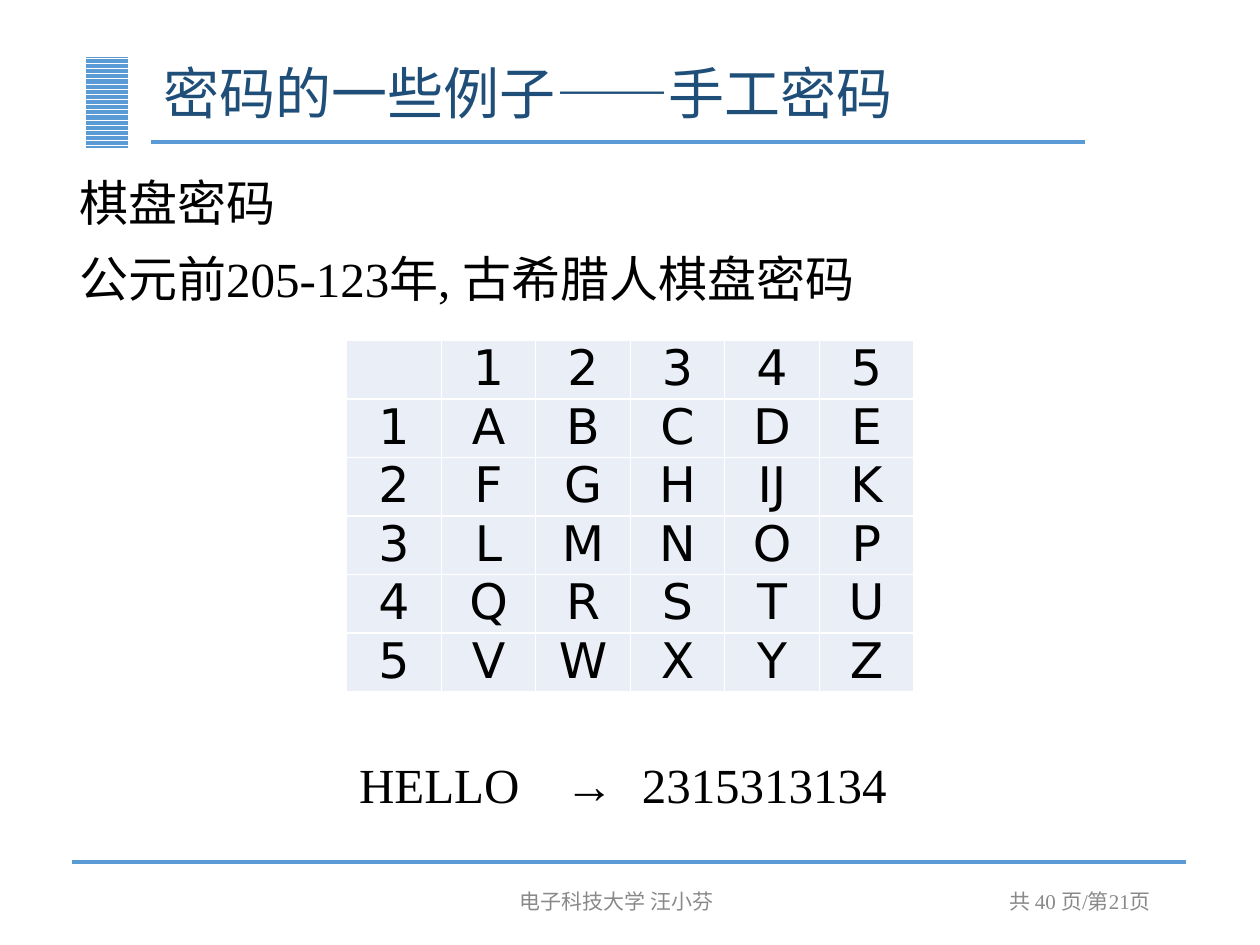
"""Builds a slide on the Greek chessboard cipher."""
from lxml.etree import SubElement
from pptx import Presentation
from pptx.dml.color import RGBColor
from pptx.enum.dml import MSO_PATTERN as Pattern
from pptx.enum.shapes import MSO_CONNECTOR as Connector, MSO_SHAPE as Shape
from pptx.enum.text import MSO_ANCHOR as Anchor, MSO_AUTO_SIZE as AutoSize, PP_ALIGN as Align
from pptx.oxml.ns import qn
from pptx.util import Cm, Pt

TITLE = "密码的一些例子——手工密码"
BODY = ["棋盘密码", "公元前205-123年, 古希腊人棋盘密码"]
BOARD = [
    ["", "1", "2", "3", "4", "5"],
    ["1", "A", "B", "C", "D", "E"],
    ["2", "F", "G", "H", "IJ", "K"],
    ["3", "L", "M", "N", "O", "P"],
    ["4", "Q", "R", "S", "T", "U"],
    ["5", "V", "W", "X", "Y", "Z"],
]
EXAMPLE = ["HELLO", "→", "2315313134"]
EXAMPLE_TABS = [4.15, 5.7]
FOOTERS = [
    ("共 40 页/第21页", (17.73, 17.65, 5.72, 1.02), Align.RIGHT),
    ("电子科技大学 汪小芬", (7.52, 17.65, 9.83, 1.02), Align.CENTER),
]
RULES = [(3.05, 21.87, 2.87), (1.45, 23.9, 17.37)]
SERIF, SANS, HAN = "Times New Roman", "DejaVu Sans", "Noto Sans CJK SC"
BLUE, NAVY, PALE, WHITE, BLACK, GREY = "5B9BD5", "1F4E79", "EAEFF7", "FFFFFF", "000000", "898989"
CELL_WIDTH, CELL_HEIGHT = 1.905, 1.18


def color(value):
    return RGBColor.from_string(value)


def lengths(*values):
    return [Cm(value) for value in values]


def place(shape, left, top, width, height):
    shape.left, shape.top, shape.width, shape.height = lengths(left, top, width, height)


def write(para, text, size, font, tint, align=Align.LEFT):
    para.alignment = align
    span = para.add_run()
    span.text = text
    span.font.size, span.font.name = Pt(size), font
    span.font.color.rgb = color(tint)
    return span


def add_label(page, area, text, size, tint, align=Align.LEFT, anchor=Anchor.TOP):
    frame = page.shapes.add_textbox(*lengths(*area)).text_frame
    frame.word_wrap, frame.vertical_anchor = True, anchor
    para = frame.paragraphs[0]
    write(para, text, size, SERIF, tint, align)
    return para


def add_frame(page):
    bar = page.shapes.add_shape(Shape.RECTANGLE, *lengths(1.73, 1.14, 0.86, 1.83))
    bar.shadow.inherit = False
    bar.fill.patterned()
    bar.fill.pattern = Pattern.DARK_HORIZONTAL
    bar.fill.fore_color.rgb, bar.fill.back_color.rgb = color(BLUE), color(WHITE)
    bar.line.fill.background()
    for start, end, top in RULES:
        rule = page.shapes.add_connector(Connector.STRAIGHT, *lengths(start, top, end, top))
        rule.line.color.rgb, rule.line.width = color(BLUE), Pt(2.25)
        SubElement(rule.element.spPr, qn("a:effectLst"))


def fill_placeholders(page):
    title, body = page.shapes.title, page.placeholders[1]
    place(title, 3.05, 1.02, 18.82, 1.85)
    frame = title.text_frame
    frame.auto_size, frame.vertical_anchor = AutoSize.NONE, Anchor.MIDDLE
    para = frame.paragraphs[0]
    para.line_spacing = 0.9
    span = write(para, TITLE, 32, HAN, NAVY)
    SubElement(span.font._element, qn("a:ea"), typeface=HAN)

    place(body, 1.4, 3.38, 21.89, 3.61)
    frame = body.text_frame
    frame.auto_size = AutoSize.NONE
    frame.margin_left = frame.margin_right = Cm(0.2)
    frame.margin_top = frame.margin_bottom = Cm(0.1)
    for index, text in enumerate(BODY):
        para = frame.add_paragraph() if index else frame.paragraphs[0]
        props = para._p.get_or_add_pPr()
        props.set("marL", "0")
        props.set("indent", "0")
        SubElement(props, qn("a:buNone"))
        para.space_before = Pt(10 if index else 0)
        write(para, text, 28, SERIF, BLACK)


def style_cell(cell):
    cell.margin_left = cell.margin_right = Cm(0.18)
    cell.margin_top = cell.margin_bottom = 0
    props = cell._tc.get_or_add_tcPr()
    for side in ("lnL", "lnR", "lnT", "lnB"):
        border = SubElement(props, qn(f"a:{side}"), w=str(Pt(1)))
        SubElement(SubElement(border, qn("a:solidFill")), qn("a:srgbClr"), val=WHITE)
    cell.fill.solid()
    cell.fill.fore_color.rgb = color(PALE)


def add_board(page):
    rows, columns = len(BOARD), len(BOARD[0])
    area = lengths(6.99, 6.86, columns * CELL_WIDTH, rows * CELL_HEIGHT)
    table = page.shapes.add_table(rows, columns, *area).table
    table.first_row = table.horz_banding = False
    for column in table.columns:
        column.width = Cm(CELL_WIDTH)
    for row, letters in zip(table.rows, BOARD):
        row.height = Cm(CELL_HEIGHT)
        for cell, letter in zip(row.cells, letters):
            style_cell(cell)
            if letter:
                write(cell.text_frame.paragraphs[0], letter, 28, SANS, BLACK, Align.CENTER)


def add_example(page):
    para = add_label(page, (6.99, 15.09, 11.25, 1.45), "\t".join(EXAMPLE), 28, BLACK)
    tabs = SubElement(para._p.get_or_add_pPr(), qn("a:tabLst"))
    for stop in EXAMPLE_TABS:
        SubElement(tabs, qn("a:tab"), pos=str(Cm(stop)), algn="l")


def main():
    deck = Presentation()
    deck.slide_width, deck.slide_height = lengths(25.4, 19.05)
    page = deck.slides.add_slide(deck.slide_layouts[1])
    add_frame(page)
    fill_placeholders(page)
    add_board(page)
    add_example(page)
    for text, area, align in FOOTERS:
        add_label(page, area, text, 12, GREY, align, Anchor.MIDDLE)
    deck.save("out.pptx")


if __name__ == "__main__":
    main()
